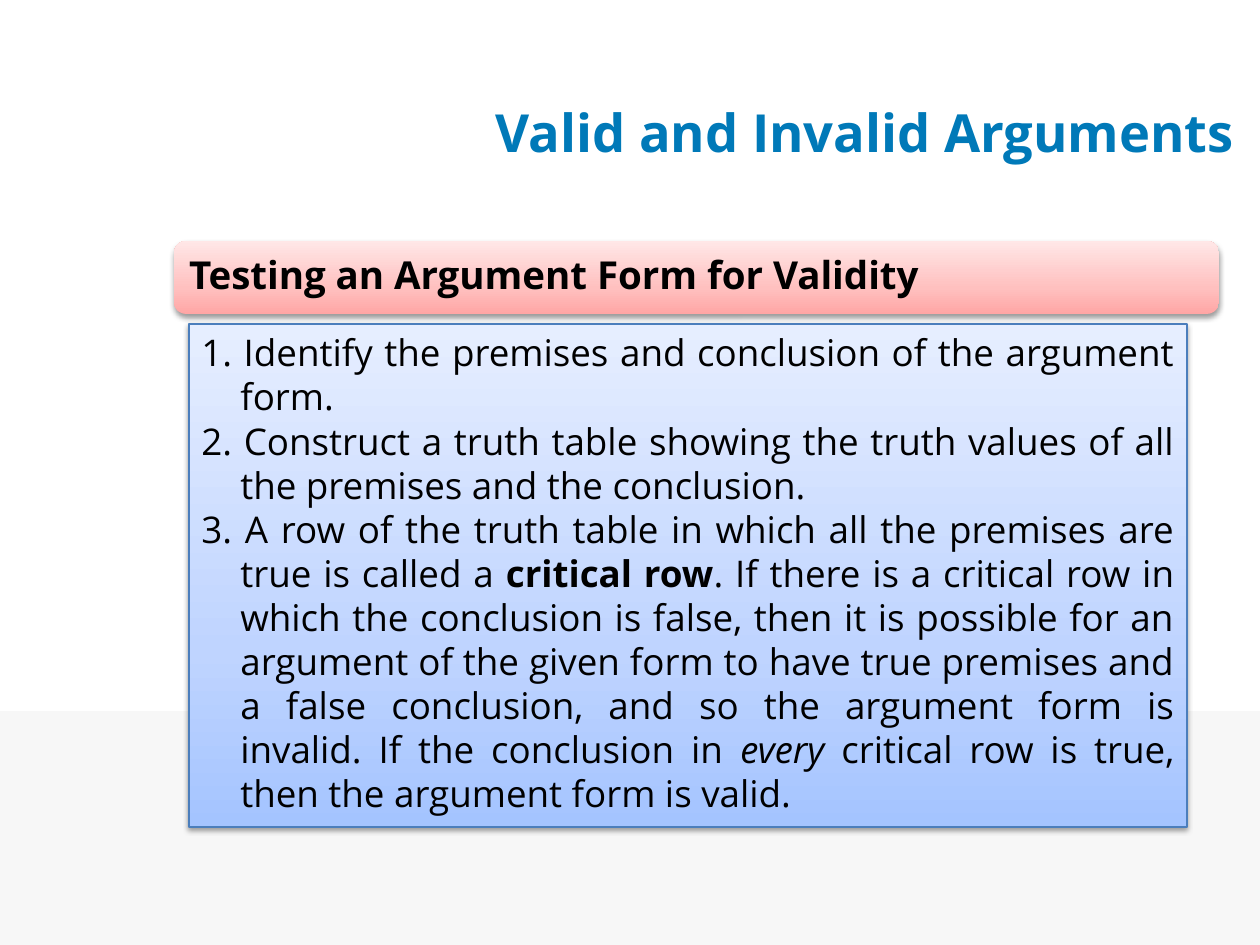
from lxml.etree import SubElement
from pptx import Presentation
from pptx.dml.color import RGBColor
from pptx.enum.shapes import MSO_SHAPE as Shape
from pptx.enum.text import MSO_ANCHOR as Anchor, PP_ALIGN as Align
from pptx.oxml.ns import qn
from pptx.util import Emu, Pt

COLORS = {
    "title": "0079B8", "text": "000000", "band": "F7F7F7", "border": "4B7EBC", "shadow": "000000",
    "heading": ("FFA6A5", "FFC0BF", "FFE7E7"),
    "steps": ("A4C4FF", "BFD4FF", "E6EEFF"),
}
STOPS = (0, 35, 100)
STEPS = [
    [("1. Identify the premises and conclusion of the argument form.", {})],
    [("2. Construct a truth table showing the truth values of all the premises and the conclusion.", {})],
    [
        ("3. A row of the truth table in which all the premises are true is called a ", {}),
        ("critical row", {"bold": True}),
        (". If there is a critical row in which the conclusion is false, then it is possible for an "
         "argument of the given form to have true premises and a false conclusion, and so the argument "
         "form is invalid. If the conclusion in ", {}),
        ("every ", {"italic": True}),
        ("critical row is true, then the argument form is valid.", {}),
    ],
]


def px(value):
    return Emu(round(value * 914400 / 126))


def apply(target, values):
    for name, value in values.items():
        setattr(target, name, value)


class SlideBuilder:
    """Holds the style and the current slide, and adds its elements."""

    font = "Open Sans"

    def __init__(self, presentation):
        self.slide = presentation.slides.add_slide(presentation.slide_layouts[5])

    def fill_text(self, frame, paragraphs, size, color="text", bold=False, indent=0, **layout):
        for index, runs in enumerate(paragraphs):
            paragraph = frame.add_paragraph() if index else frame.paragraphs[0]
            apply(paragraph, layout)
            if indent:
                properties = paragraph._p.get_or_add_pPr()
                properties.set("marL", str(px(indent)))
                properties.set("indent", str(-px(indent)))
            for text, emphasis in runs:
                run = paragraph.add_run()
                run.text = text
                apply(run.font, {"name": self.font, "size": Pt(size), "bold": bold, **emphasis})
                run.font.color.rgb = RGBColor.from_string(COLORS[color])

    def title(self, text, box):
        title = self.slide.shapes.title
        apply(title, dict(zip(("left", "top", "width", "height"), map(px, box))))
        apply(title.text_frame, {"vertical_anchor": Anchor.MIDDLE, "word_wrap": True})
        self.fill_text(title.text_frame, [[(text, {})]], 30, "title", True, alignment=Align.RIGHT)

    def panel(self, kind, box, fill, border=None):
        shape = self.slide.shapes.add_shape(kind, *map(px, box))
        shape.shadow.inherit = False
        if isinstance(COLORS[fill], tuple):
            self.gradient(shape, COLORS[fill])
            self.shadow(shape)
        else:
            shape.fill.solid()
            shape.fill.fore_color.rgb = RGBColor.from_string(COLORS[fill])
        if border:
            shape.line.color.rgb = RGBColor.from_string(COLORS[border])
            shape.line.width = Pt(0.75)
        else:
            shape.line.fill.background()
        return shape

    def gradient(self, shape, colors):
        shape.fill.gradient()
        shape.fill.gradient_angle = 90
        stops = shape._element.spPr.find(".//" + qn("a:gsLst"))
        stops.clear()
        for position, color in zip(STOPS, colors):
            stop = SubElement(stops, qn("a:gs"), pos=str(position * 1000))
            SubElement(stop, qn("a:srgbClr"), val=color)

    def shadow(self, shape):
        effects = shape._element.spPr.find(qn("a:effectLst"))
        outer = SubElement(effects, qn("a:outerShdw"), blurRad=str(Pt(3.1)), dist=str(Pt(1.6)),
                           dir="5400000", rotWithShape="0")
        color = SubElement(outer, qn("a:srgbClr"), val=COLORS["shadow"])
        SubElement(color, qn("a:alpha"), val="38000")

    def heading(self, text, box):
        frame = self.slide.shapes.add_textbox(*map(px, box)).text_frame
        margins = dict.fromkeys(("margin_left", "margin_top", "margin_right", "margin_bottom"), px(11))
        apply(frame, {"word_wrap": True, "vertical_anchor": Anchor.MIDDLE, **margins})
        self.fill_text(frame, [[(text, {})]], 22, bold=True, alignment=Align.JUSTIFY,
                       line_spacing=0.9, space_after=Pt(7.7))

    def steps(self, paragraphs, box):
        frame = self.panel(Shape.RECTANGLE, box, "steps", "border").text_frame
        apply(frame, {"word_wrap": True, "vertical_anchor": Anchor.TOP})
        self.fill_text(frame, paragraphs, 21, indent=39, alignment=Align.JUSTIFY)


def main():
    presentation = Presentation()
    apply(presentation, {"slide_width": px(1260), "slide_height": px(945)})
    builder = SlideBuilder(presentation)
    builder.panel(Shape.RECTANGLE, (0, 711, 1260, 234), "band")
    builder.title("Valid and Invalid Arguments", (273, 53, 974, 158))
    builder.panel(Shape.ROUNDED_RECTANGLE, (174, 241, 1045, 73), "heading")
    builder.heading("Testing an Argument Form for Validity", (178, 244, 1037, 66))
    builder.steps(STEPS, (189, 324, 998, 503))
    presentation.save("out.pptx")


if __name__ == "__main__":
    main()
